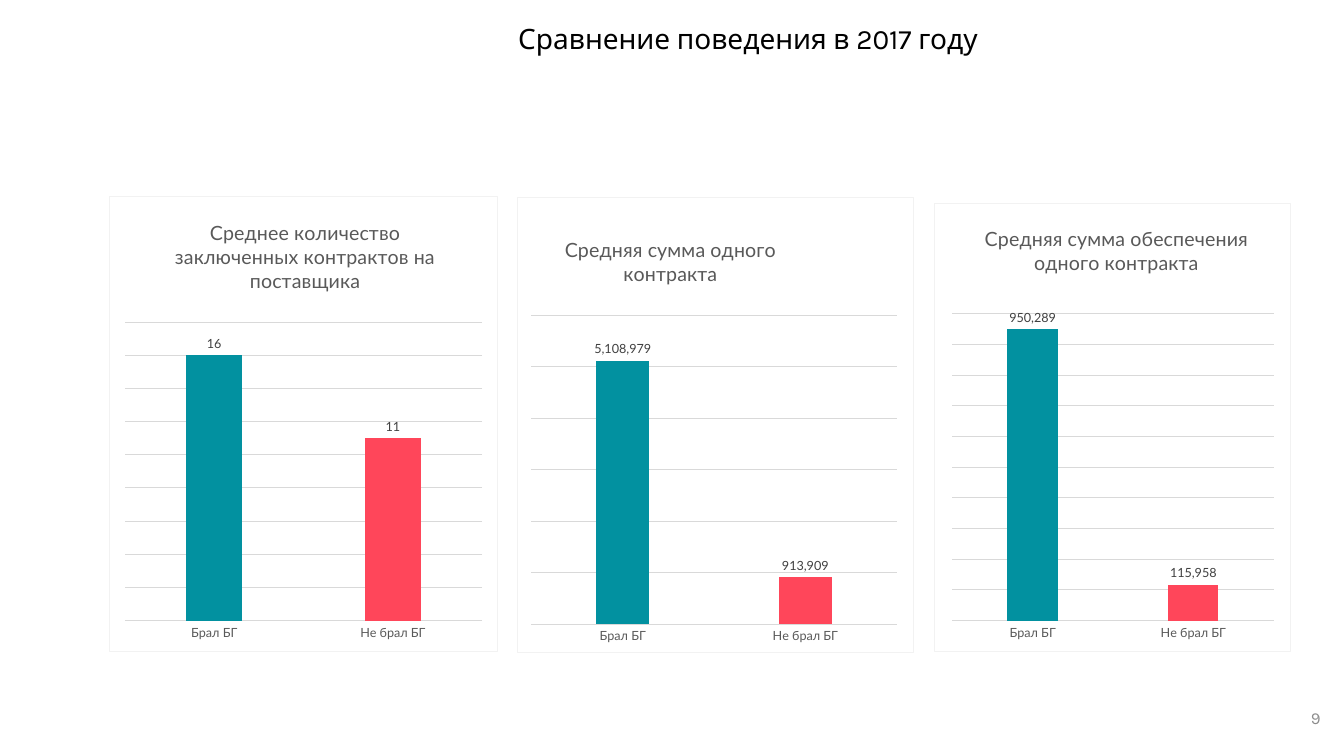
"""Build a slide with three column charts comparing supplier behaviour in 2017."""
from pptx import Presentation
from pptx.chart.data import CategoryChartData
from pptx.dml.color import RGBColor
from pptx.enum.chart import XL_CHART_TYPE, XL_LABEL_POSITION, XL_TICK_MARK
from pptx.enum.text import MSO_ANCHOR, PP_ALIGN
from pptx.oxml import parse_xml
from pptx.oxml.ns import nsdecls, qn
from pptx.util import Pt

BLACK = RGBColor(0x00, 0x00, 0x00)
PAGE_GREY = RGBColor(0x8C, 0x8C, 0x8C)
HEADING_GREY = RGBColor(0x59, 0x59, 0x59)
LABEL_GREY = RGBColor(0x40, 0x40, 0x40)
GRID_GREY = RGBColor(0xD9, 0xD9, 0xD9)
BORDER_GREY = RGBColor(0xF2, 0xF2, 0xF2)
TEAL = RGBColor(0x02, 0x91, 0xA0)
RED = RGBColor(0xFF, 0x46, 0x5A)

COMPARISONS = [
    dict(heading="Среднее количество заключенных контрактов на поставщика",
         values=(16, 11), top=18, step=2, gap=219, overlap=-27,
         frame=(77.76, 139.68, 277.92, 326.16),
         heading_at=(0.16, 0.04), plot_at=(0.04, 0.277, 0.921, 0.655)),
    dict(heading="Средняя сумма одного контракта",
         values=(5108979, 913909), top=6000000, step=1000000, gap=241, overlap=-51,
         frame=(369.36, 140.4, 283.68, 326.16),
         heading_at=(0.11, 0.075), plot_at=(0.035, 0.259, 0.922, 0.679)),
    dict(heading="Средняя сумма обеспечения одного контракта",
         values=(950289, 115958), top=1000000, step=100000, gap=219, overlap=-27,
         frame=(667.44, 144.72, 254.88, 321.12),
         heading_at=(0.13, 0.04), plot_at=(0.049, 0.247, 0.903, 0.684)),
]


def add_text(slide, text, *, left, top, width, height, size, color, align):
    box = slide.shapes.add_textbox(Pt(left), Pt(top), Pt(width), Pt(height))
    frame = box.text_frame
    frame.word_wrap = True
    frame.vertical_anchor = MSO_ANCHOR.MIDDLE
    paragraph = frame.paragraphs[0]
    paragraph.alignment = align
    run = paragraph.add_run()
    run.text = text
    run.font.name, run.font.size = "Karla", Pt(size)
    run.font.color.rgb = color


def set_layout(parent, position, index, target=""):
    for old in parent.findall(qn("c:layout")):
        parent.remove(old)
    modes = "".join(f'<c:{axis}Mode val="edge"/>' for axis in "xy")
    places = "".join(f'<c:{side} val="{value}"/>' for side, value in zip("xywh", position))
    parent.insert(index, parse_xml(
        f'<c:layout {nsdecls("c")}><c:manualLayout>{target}{modes}{places}'
        '</c:manualLayout></c:layout>'))


deck = Presentation()
deck.slide_width, deck.slide_height = Pt(960), Pt(540)
slide = deck.slides.add_slide(deck.slide_layouts[6])

add_text(slide, "9", left=726.48, top=498.24, width=223.92, height=28.8,
         size=12, color=PAGE_GREY, align=PP_ALIGN.RIGHT)
add_text(slide, "Сравнение поведения в 2017 году", left=117.36, top=0, width=833.76,
         height=54.72, size=20, color=BLACK, align=PP_ALIGN.CENTER)

for comparison in COMPARISONS:
    data = CategoryChartData(number_format="#,##0")
    data.categories = ["Брал БГ", "Не брал БГ"]
    data.add_series(comparison["heading"], comparison["values"])
    chart = slide.shapes.add_chart(XL_CHART_TYPE.COLUMN_CLUSTERED,
                                   *map(Pt, comparison["frame"]), data).chart
    chart.has_legend = False
    chart.font.name, chart.font.size = "Lato", Pt(10)
    chart.font.color.rgb = BLACK

    chart.has_title = True
    heading = chart.chart_title.text_frame
    heading.text = comparison["heading"]
    heading_font = heading.paragraphs[0].runs[0].font
    heading_font.name, heading_font.size, heading_font.bold = "Lato", Pt(14), False
    heading_font.color.rgb = HEADING_GREY
    set_layout(chart.chart_title._element, comparison["heading_at"], 1)

    answers = chart.category_axis
    answers.major_tick_mark = XL_TICK_MARK.NONE
    answers.tick_labels.font.name, answers.tick_labels.font.size = "Lato", Pt(9)
    answers.tick_labels.font.color.rgb = HEADING_GREY
    amounts = chart.value_axis
    amounts.visible = False
    amounts.minimum_scale, amounts.maximum_scale = 0, comparison["top"]
    amounts.major_unit = comparison["step"]
    for line in (answers.format.line, amounts.major_gridlines.format.line):
        line.color.rgb, line.width = GRID_GREY, Pt(0.75)

    columns = chart.plots[0]
    columns.vary_by_categories = False
    columns.gap_width, columns.overlap = comparison["gap"], comparison["overlap"]
    series = columns.series[0]
    for index, color in enumerate((TEAL, RED)):
        fill = series.points[index].format.fill
        fill.solid()
        fill.fore_color.rgb = color
    labels = series.data_labels
    labels.show_value = True
    labels.position = XL_LABEL_POSITION.OUTSIDE_END
    labels.number_format, labels.number_format_is_linked = "#,##0", False
    labels.font.name, labels.font.size = "Lato", Pt(9)
    labels.font.color.rgb = LABEL_GREY

    chart_space = chart._chartSpace
    set_layout(chart_space.chart.plotArea, comparison["plot_at"], 0,
               '<c:layoutTarget val="inner"/>')
    chart_space.chart.addnext(parse_xml(
        f'<c:spPr {nsdecls("c", "a")}><a:noFill/><a:ln w="{Pt(0.75)}"><a:solidFill>'
        f'<a:srgbClr val="{BORDER_GREY}"/></a:solidFill></a:ln></c:spPr>'))

deck.save("out.pptx")
